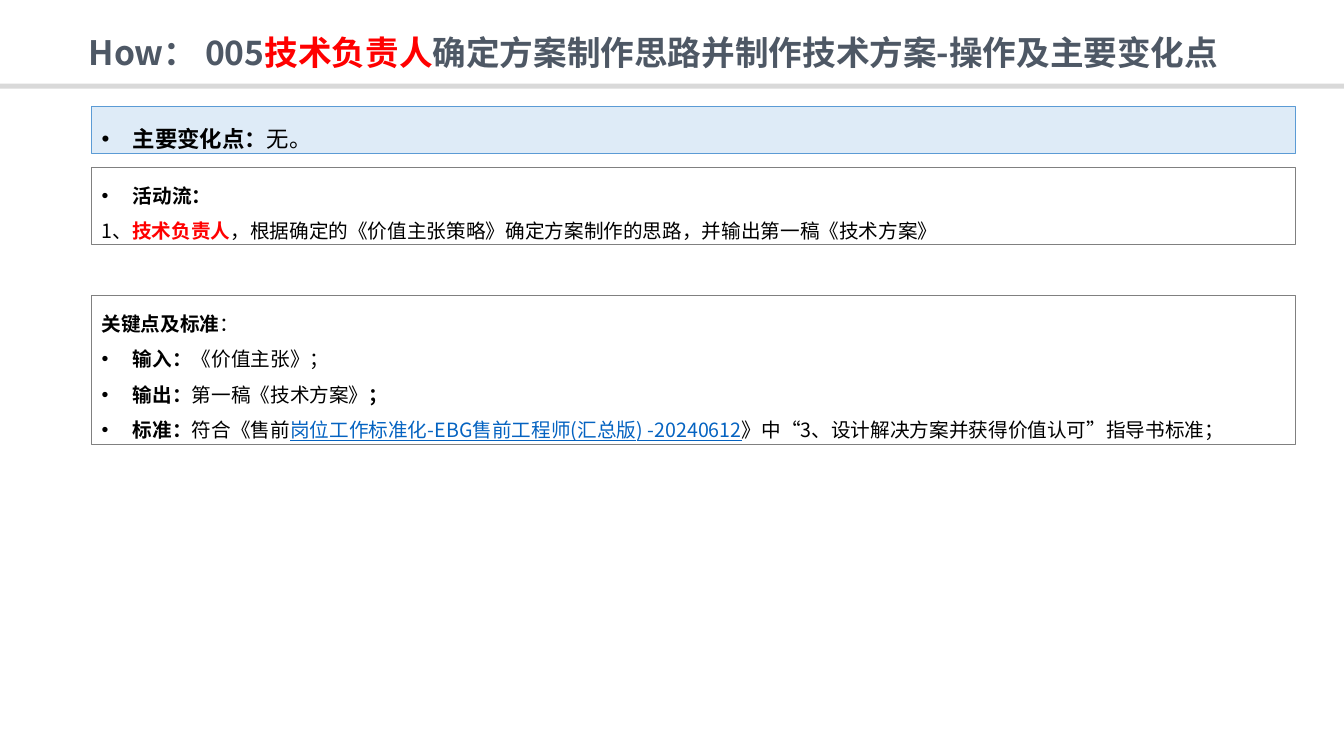
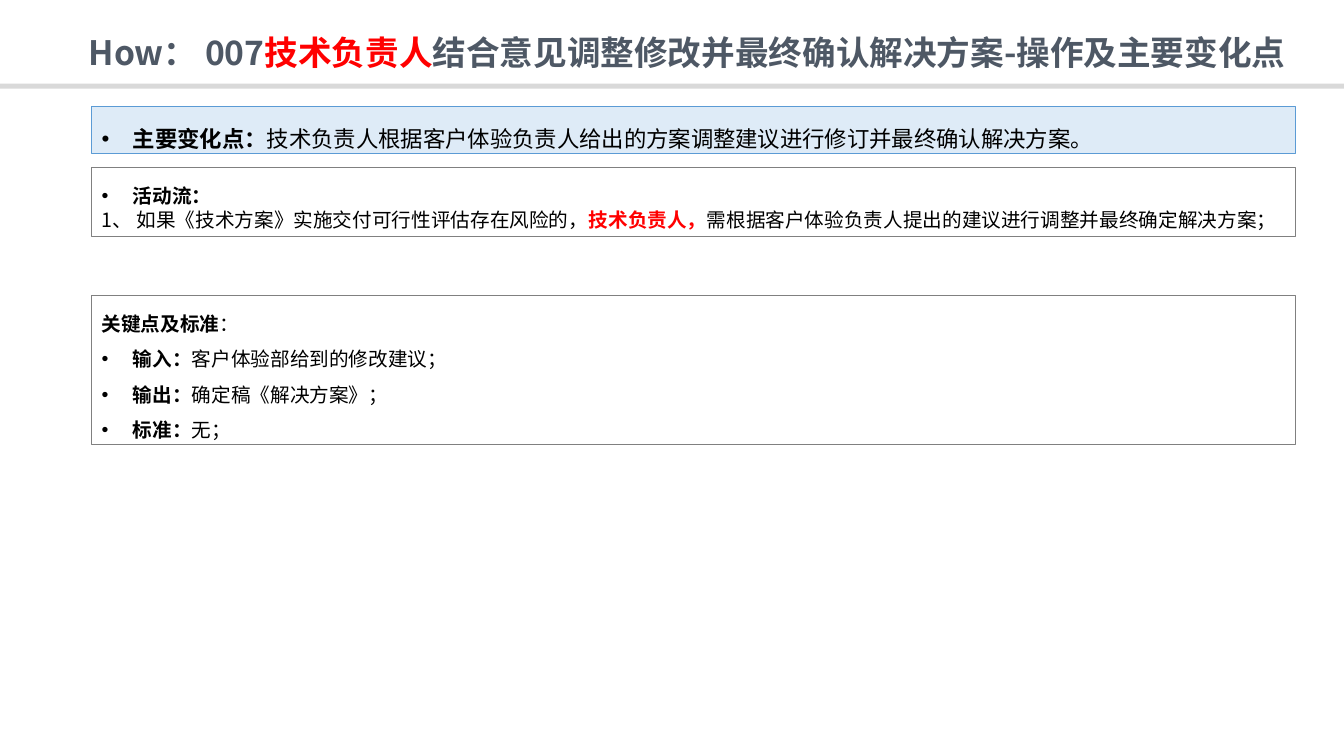
from dataclasses import dataclass

from lxml import etree
from pptx import Presentation
from pptx import util as u
from pptx.dml.color import RGBColor
from pptx.enum import shapes, text
from pptx.oxml.ns import qn

PX = u.Inches(0.01)


@dataclass(frozen=True)
class Theme:
    font: str = "Noto Sans CJK SC"
    slate: str = "4E5865"
    black: str = "000000"
    red: str = "FF0000"
    link: str = "0563C1"
    rule: str = "D9D9D9"
    pale: str = "DEEBF7"
    blue: str = "5B9BD5"
    gray: str = "808080"
    title_size: int = 24
    change_size: int = 16
    body_size: int = 14


THEME = Theme()

# Run styles: colour, bold, underline
STYLES = {
    "title": (THEME.slate, True, False),
    "role": (THEME.red, True, False),
    "bold": (THEME.black, True, False),
    "plain": (THEME.black, False, False),
    "link": (THEME.link, False, True),
}

# Content: a run is (text, style); the flow step also has a line spacing
SLIDES = [
    {
        "number": "005",
        "title": "确定方案制作思路并制作技术方案-操作及主要变化点",
        "change": "无。",
        "flow": [
            ("1、", "plain"),
            ("技术负责人", "role"),
            ("，根据确定的《价值主张策略》确定方案制作的思路，并输出第一稿《技术方案》", "plain"),
        ],
        "flow_spacing": 1.5,
        "flow_height": 77,
        "input": [("《价值主张》；", "plain")],
        "output": [("第一稿《技术方案》", "plain"), ("；", "bold")],
        "standard": [
            ("符合《售前", "plain"),
            ("岗位工作标准化-EBG售前工程师(汇总版) -20240612", "link"),
            ("》中“3、设计解决方案并获得价值认可”指导书标准；", "plain"),
        ],
    },
    {
        "number": "007",
        "title": "结合意见调整修改并最终确认解决方案-操作及主要变化点",
        "change": "技术负责人根据客户体验负责人给出的方案调整建议进行修订并最终确认解决方案。",
        "flow": [
            ("1、 如果《技术方案》实施交付可行性评估存在风险的，", "plain"),
            ("技术负责人，", "role"),
            ("需根据客户体验负责人提出的建议进行调整并最终确定解决方案；", "plain"),
        ],
        "flow_spacing": 1.0,
        "flow_height": 69,
        "input": [("客户体验部给到的修改建议；", "plain")],
        "output": [("确定稿《解决方案》；", "plain")],
        "standard": [("无；", "plain")],
    },
]

# Layout, in px
SLIDE_SIZE = (1333, 750)
TITLE_AREA = (78, 31, 1255, 47)
RULE_AREA = (0, 83, 1333, 5)
BOX_LEFT, BOX_WIDTH = 91, 1194
CHANGE_TOP, CHANGE_HEIGHT = 106, 46
FLOW_TOP = 166
KEY_TOP, KEY_HEIGHT = 293, 148
INDENT = 31


def color(value):
    return RGBColor.from_string(value)


def scaled(area):
    return [value * PX for value in area]


def add_runs(para, runs, size):
    for words, style in runs:
        span = para.add_run()
        span.text = words
        tint, span.font.bold, underline = STYLES[style]
        if underline:
            span.font.underline = True
        span.font.size = u.Pt(size)
        span.font.color.rgb = color(tint)
        span.font.name = THEME.font
        latin = span.font._element.find(qn("a:latin"))
        east_asian = etree.Element(qn("a:ea"), typeface=THEME.font)
        latin.addnext(east_asian)


def add_bullet(para):
    props = para._p.get_or_add_pPr()
    props.set("marL", str(INDENT * PX))
    props.set("indent", str(-INDENT * PX))
    etree.SubElement(props, qn("a:buFont"), typeface="Arial")
    etree.SubElement(props, qn("a:buChar"), char="•")


def add_rect(page, area, fill=None, line=None):
    box = page.shapes.add_shape(shapes.MSO_SHAPE.RECTANGLE, *scaled(area))
    box.shadow.inherit = False
    if fill:
        box.fill.solid()
        box.fill.fore_color.rgb = color(fill)
    else:
        box.fill.background()
    if line:
        box.line.color.rgb = color(line)
        box.line.width = u.Pt(0.75)
    else:
        box.line.fill.background()
    return box


def add_box(page, top, height, paragraphs, size, fill=None, line=THEME.gray):
    """Paragraphs are (runs, bulleted, line spacing)."""
    box = add_rect(page, (BOX_LEFT, top, BOX_WIDTH, height), fill, line)
    frame = box.text_frame
    frame.word_wrap = True
    frame.vertical_anchor = text.MSO_ANCHOR.TOP
    for index, (runs, bulleted, spacing) in enumerate(paragraphs):
        para = frame.add_paragraph() if index else frame.paragraphs[0]
        para.alignment = text.PP_ALIGN.LEFT
        para.line_spacing = spacing
        if bulleted:
            add_bullet(para)
        add_runs(para, runs, size)


def set_title(page, number, words):
    title = page.shapes.title
    title.left, title.top, title.width, title.height = scaled(TITLE_AREA)
    frame = title.text_frame
    frame.word_wrap = True
    frame.auto_size = text.MSO_AUTO_SIZE.NONE
    frame.vertical_anchor = text.MSO_ANCHOR.TOP
    para = frame.paragraphs[0]
    para.alignment = text.PP_ALIGN.LEFT
    para.line_spacing = 0.9
    runs = [(f"How： {number}", "title"), ("技术负责人", "role"), (words, "title")]
    add_runs(para, runs, THEME.title_size)


def build_page(deck, layout, content):
    page = deck.slides.add_slide(layout)
    set_title(page, content["number"], content["title"])

    # Main change
    change = [("主要变化点：", "bold"), (content["change"], "plain")]
    add_box(page, CHANGE_TOP, CHANGE_HEIGHT, [(change, True, 1.5)],
            THEME.change_size, THEME.pale, THEME.blue)

    # Activity flow
    flow = [([("活动流：", "bold")], True, 1.5),
            (content["flow"], False, content["flow_spacing"])]
    add_box(page, FLOW_TOP, content["flow_height"], flow, THEME.body_size)

    # Key points and standards
    points = [([("关键点及标准", "bold"), ("：", "plain")], False, 1.5)]
    for label, key in (("输入：", "input"), ("输出：", "output"), ("标准：", "standard")):
        points.append(([(label, "bold")] + content[key], True, 1.5))
    add_box(page, KEY_TOP, KEY_HEIGHT, points, THEME.body_size)
    return page


def main():
    deck = Presentation()
    deck.slide_width, deck.slide_height = scaled(SLIDE_SIZE)
    layout = deck.slide_layouts[5]
    pages = [build_page(deck, layout, content) for content in SLIDES]

    # The rule under the title belongs to the shared layout
    rule = add_rect(pages[0], RULE_AREA, THEME.rule)
    layout.shapes.element.insert(2, rule.element)
    deck.save("out.pptx")


if __name__ == "__main__":
    main()
